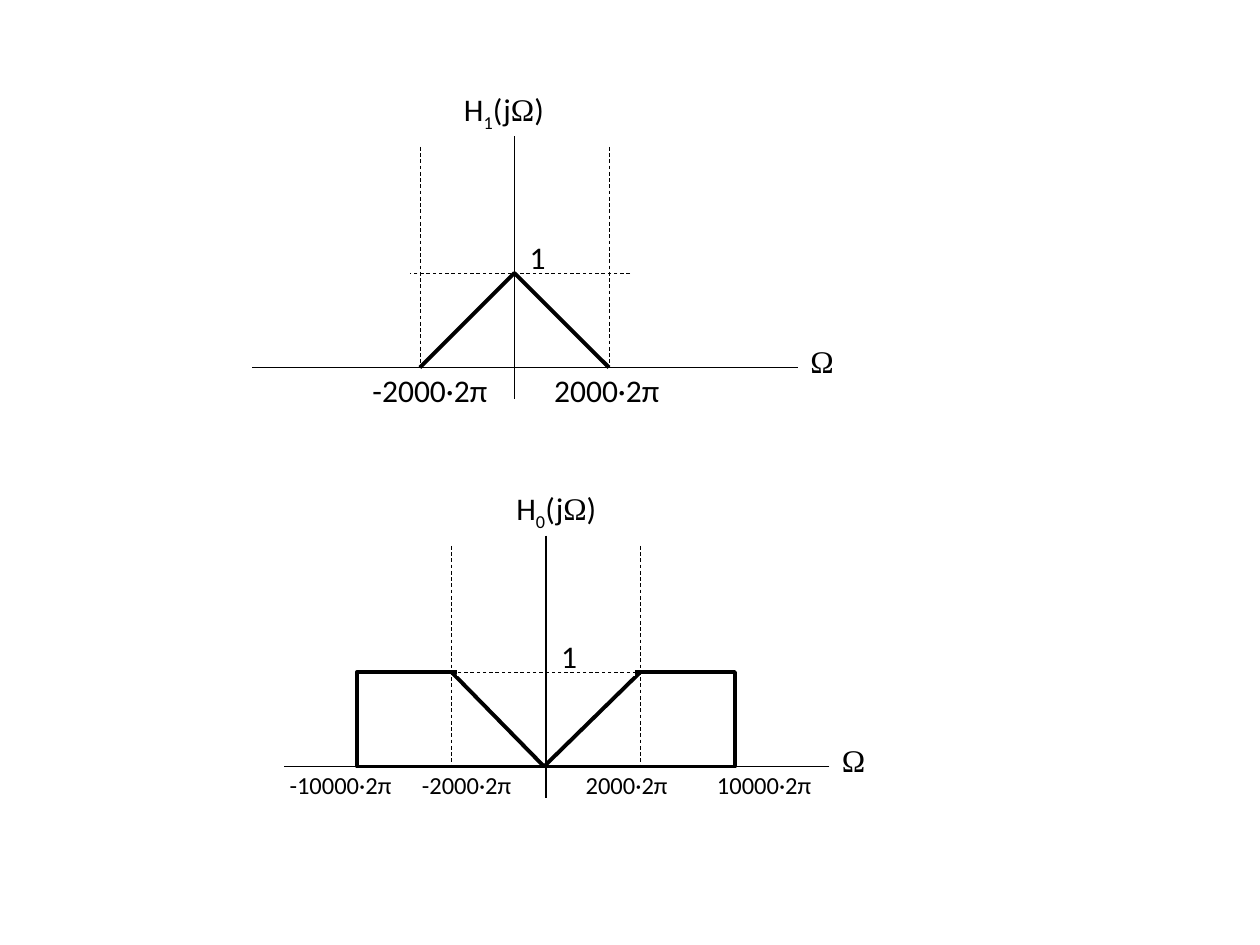
from lxml.etree import SubElement
from pptx import Presentation
from pptx.dml.color import RGBColor
from pptx.enum.dml import MSO_LINE
from pptx.enum.shapes import MSO_CONNECTOR, MSO_SHAPE
from pptx.enum.text import MSO_AUTO_SIZE
from pptx.oxml.ns import qn
from pptx.util import Inches, Pt

INK, PAPER = "000000", "FFFFFF"
BODY, GREEK = "Calibri", "Times New Roman"
UNIT = 9  # grid steps per 2000 Hz and per unit of amplitude


def color(value):
    return RGBColor.from_string(value)


class Plot:
    """A grouped plot on a grid of 1/12 inch, measured from its origin."""

    def __init__(self, slide, col, row):
        self.col, self.row = col, row
        self.shapes = slide.shapes.add_group_shape().shapes

    def at(self, x, y):
        return Inches((self.col + x) / 12), Inches((self.row + y) / 12)

    def stroke(self, sp, width, ink=INK, dash=None):
        sp.line.color.rgb = color(ink)
        for name, value in {"width": Pt(width), "dash_style": dash}.items():
            setattr(sp.line, name, value)

    def line(self, x1, y1, x2, y2, width=1, **style):
        sp = self.shapes.add_connector(
            MSO_CONNECTOR.STRAIGHT, *self.at(x1, y1), *self.at(x2, y2))
        self.stroke(sp, width, **style)
        SubElement(sp._element.spPr, qn("a:effectLst"))

    def shape(self, kind, x, y, w, h):
        sp = self.shapes.add_shape(
            kind, *self.at(x, y), Inches(w / 12), Inches(h / 12))
        sp.shadow.inherit = False
        sp.fill.solid()
        sp.fill.fore_color.rgb = color(PAPER)
        self.stroke(sp, 2.25)
        return sp

    def curve(self, *points):
        start, *rest = [self.at(*point) for point in points]
        builder = self.shapes.build_freeform(*start)
        builder.add_line_segments(rest, close=False)
        sp = builder.convert_to_shape()
        sp.shadow.inherit = False
        sp.fill.background()
        self.stroke(sp, 2.25)

    def text(self, x, y, w, *runs, size=18, wrap=False):
        height = size * 1.2 / 72 + 0.1
        sp = self.shapes.add_textbox(*self.at(x, y), Inches(w / 12), Inches(height))
        tf = sp.text_frame
        tf.word_wrap = wrap
        tf.auto_size = MSO_AUTO_SIZE.SHAPE_TO_FIT_TEXT
        p = tf.paragraphs[0]
        for content, font, baseline in runs:
            r = p.add_run()
            r.text = content
            for name, value in {"name": font, "size": Pt(size)}.items():
                setattr(r.font, name, value)
            r.font.color.rgb = color(INK)
            if baseline:
                r._r.get_or_add_rPr().set("baseline", str(baseline * 1000))

    def frame(self, index, title_x, title_w, ticks, tick_size):
        # Axes and dashed guides
        dashed = {"width": 0.5, "dash": MSO_LINE.DASH}
        self.line(27, 0, -25, 0)
        self.line(0, -22, 0, 3)
        for x in (-UNIT, UNIT):
            self.line(x, -21, x, 0, **dashed)
        self.line(11, -UNIT, -10, -UNIT, **dashed)
        # Labels
        self.text(title_x, -27, title_w, ("H", BODY, 0), (index, BODY, -25),
                  ("(j", BODY, 0), ("Ω", GREEK, 0), (")", BODY, 0), wrap=True)
        self.text(27, -3, 4.7, ("Ω", GREEK, 0))
        self.text(0.25, -12.9, 4, ("1", BODY, 0))
        for x, w, label in ticks:
            self.text(x, -0.3, w, (label + "·2π", BODY, 0), size=tick_size)


prs = Presentation()
prs.slide_width, prs.slide_height = Inches(10), Inches(7.5)
s = prs.slides.add_slide(prs.slide_layouts[6])

# Triangular response
low = Plot(s, 49, 35)
low.frame("1", -6, 12, [(-14.7, 13.4, "-2000"), (2.6, 12.6, "2000")], 18)
low.curve((-UNIT, 0), (0, -UNIT), (UNIT, 0))

# Band with a V-shaped notch, open at the top
high = Plot(s, 52, 73)
high.shape(MSO_SHAPE.RECTANGLE, -2 * UNIT, -UNIT, 4 * UNIT, UNIT)
notch = high.shape(MSO_SHAPE.ISOSCELES_TRIANGLE, -UNIT, -UNIT, 2 * UNIT, UNIT)
notch.adjustments[0] = 0.49
notch._element.spPr.find(qn("a:xfrm")).set("flipV", "1")
high.line(-8.5, -UNIT, 8.5, -UNIT, width=4.5, ink=PAPER)
high.frame("0", -4, 13, [(-25.6, 12.2, "-10000"), (-13, 11, "-2000"),
                         (2.6, 10.3, "2000"), (15.1, 11.5, "10000")], 14)

prs.save("out.pptx")
